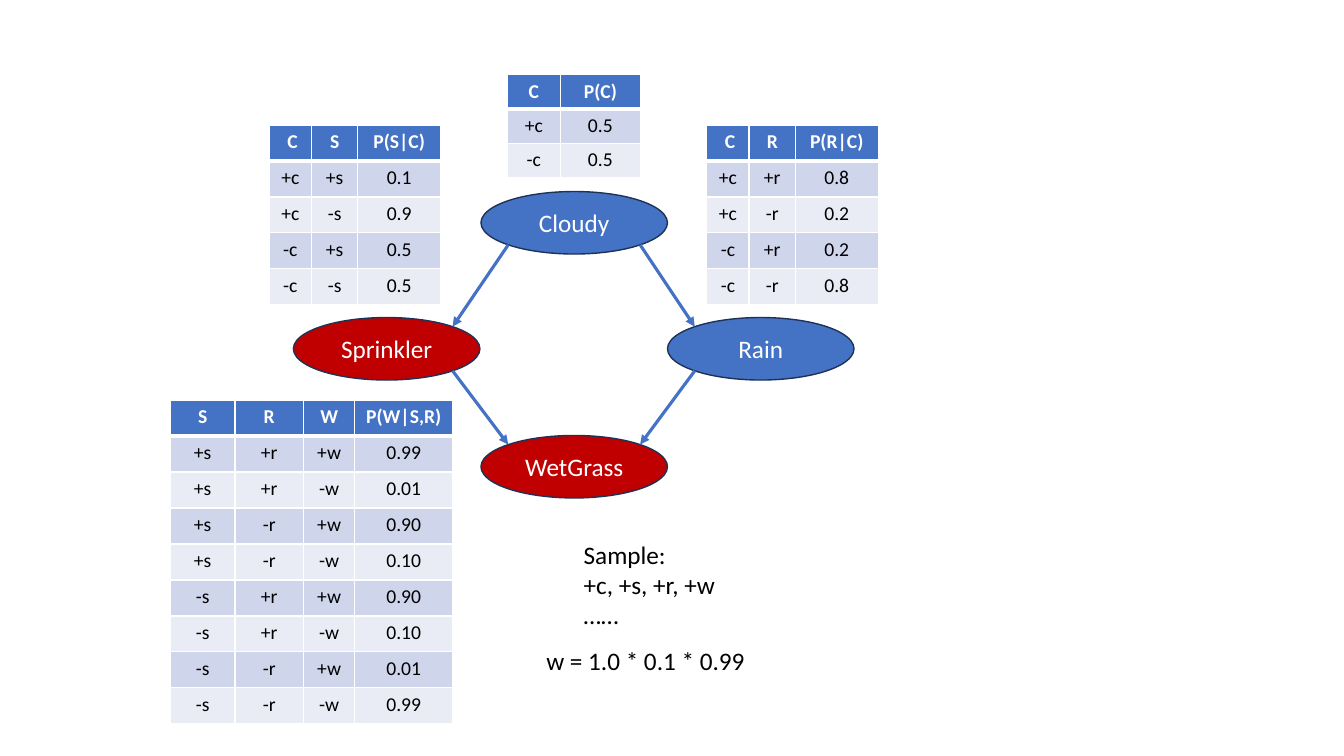
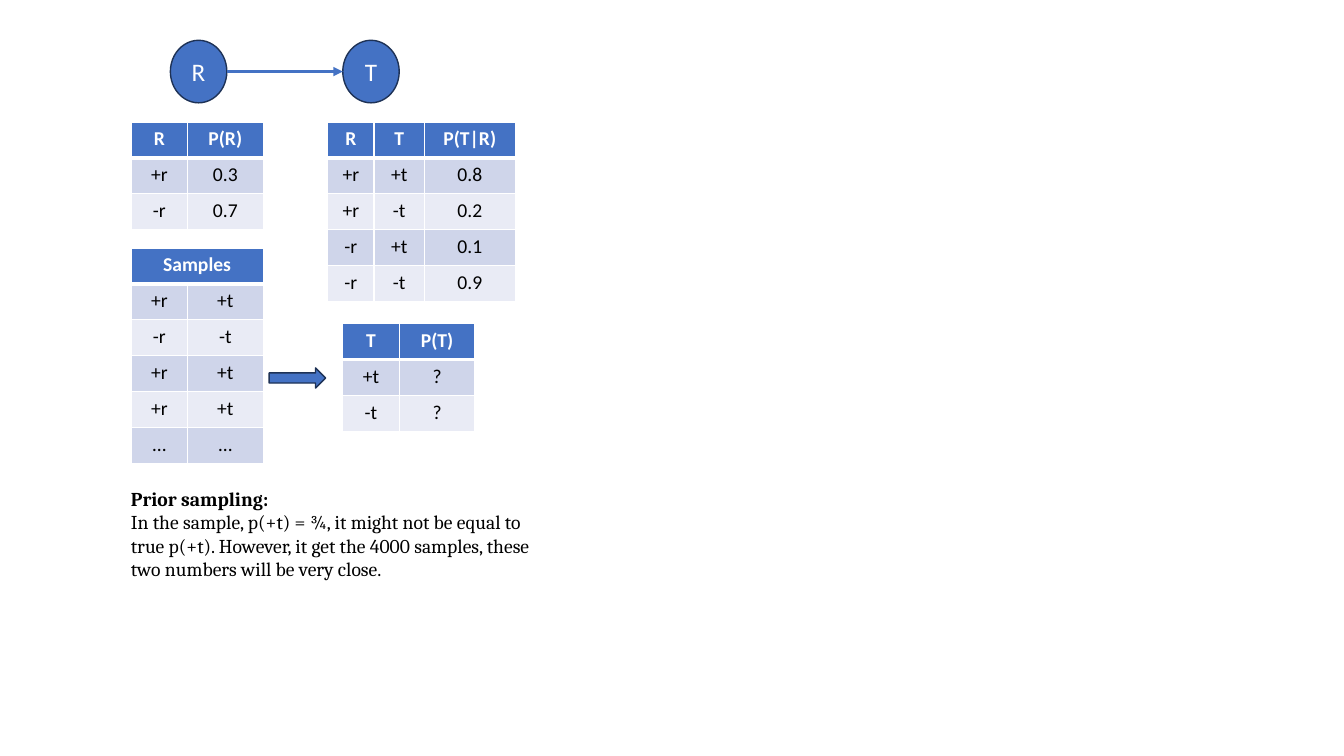
from itertools import product
from math import sqrt

from lxml.etree import SubElement
from pptx import Presentation
from pptx.dml.color import RGBColor
from pptx.enum.shapes import MSO_CONNECTOR, MSO_SHAPE
from pptx.enum.text import MSO_ANCHOR, PP_ALIGN
from pptx.oxml.ns import qn
from pptx.util import Inches, Pt

# Shared colours and measures
BLUE, RED, EDGE = "4472C4", "C00000", "1E3256"
WHITE, BLACK = "FFFFFF", "000000"
BANDS = ("CFD5EA", "E9EBF5")
DIAG = sqrt(0.5)
PAIR = (0.56, 0.75)


def paint(color, value):
    color.rgb = RGBColor.from_string(value)


def fill(item, value):
    item.fill.solid()
    paint(item.fill.fore_color, value)


def write(frame, text, size=18, color=BLACK, font="Calibri", bold=False,
          align=PP_ALIGN.LEFT, title=False):
    """Put each line in a paragraph; title makes the first one bold."""
    for i, line in enumerate(text.split("\n")):
        para = frame.paragraphs[0] if i == 0 else frame.add_paragraph()
        para.alignment = align
        run = para.add_run()
        run.text = line
        run.font.size = Pt(size)
        run.font.name = font
        run.font.bold = bold or (title and i == 0)
        paint(run.font.color, color)


def shape(slide, kind, x, y, w, h, text="", back=BLUE):
    item = slide.shapes.add_shape(kind, *map(Inches, (x, y, w, h)))
    item.shadow.inherit = False
    fill(item, back)
    paint(item.line.color, EDGE)
    item.line.width = Pt(1)
    if text:
        item.text_frame.vertical_anchor = MSO_ANCHOR.MIDDLE
        write(item.text_frame, text, color=WHITE, align=PP_ALIGN.CENTER)
    return item


def node(slide, x, y, text, back=BLUE, w=1.85):
    return shape(slide, MSO_SHAPE.OVAL, x, y, w, 0.62, text, back)


def spot(oval, dx, dy):
    """Point on the rim of an oval, in the unit direction (dx, dy)."""
    return (int(oval.left + oval.width * (1 + dx) / 2),
            int(oval.top + oval.height * (1 + dy) / 2))


def arrow(slide, start, end, dx, dy):
    """Leave start towards (dx, dy) and meet end on the opposite side."""
    line = slide.shapes.add_connector(
        MSO_CONNECTOR.STRAIGHT, *spot(start, dx, dy), *spot(end, -dx, -dy))
    paint(line.line.color, BLUE)
    line.line.width = Pt(2.25)
    SubElement(line.line._get_or_add_ln(), qn("a:tailEnd"), type="triangle")
    SubElement(line._element.spPr, qn("a:effectLst"))


def border(cell, row):
    """White cell edges, thick between the header and the body."""
    props = cell._tc.get_or_add_tcPr()
    thick = {(0, "B"), (1, "T")}
    for side in "LRTB":
        width = Pt(3 if (row, side) in thick else 1)
        edge = SubElement(props, qn("a:ln" + side), w=str(width))
        solid = SubElement(edge, qn("a:solidFill"))
        SubElement(solid, qn("a:srgbClr"), val=WHITE)


def table(slide, x, y, cols, head, rows, high=0.357):
    """Banded table; a single header cell spans all the columns."""
    count = len(rows) + 1
    grid = slide.shapes.add_table(
        count, len(cols),
        *map(Inches, (x, y, sum(cols), high * count))).table
    for col, width in zip(grid.columns, cols):
        col.width = Inches(width)
    for r, texts in enumerate([head, *rows]):
        grid.rows[r].height = Inches(high)
        for c in range(len(cols)):
            cell = grid.cell(r, c)
            border(cell, r)
            fill(cell, BANDS[(r - 1) % 2] if r else BLUE)
            if c < len(texts):
                write(cell.text_frame, texts[c], size=14, bold=r == 0,
                      color=BLACK if r else WHITE, align=PP_ALIGN.CENTER)
    if len(head) < len(cols):
        grid.cell(0, 0).merge(grid.cell(0, len(cols) - 1))


def odds(slide, x, y, cols, head, values, **kw):
    """Probability table: every mix of signs, then its value."""
    signs = product(*[("+" + name.strip().lower(), "-" + name.strip().lower())
                      for name in head[:-1]])
    rows = [(*mix, value) for mix, value in zip(signs, values.split())]
    table(slide, x, y, cols, head, rows, **kw)


def note(slide, x, y, w, h, text, wrap=False, **kw):
    frame = slide.shapes.add_textbox(*map(Inches, (x, y, w, h))).text_frame
    frame.word_wrap = wrap
    write(frame, text, **kw)


def grass(slide):
    # Network
    spray = node(slide, 2.91, 3.15, "Sprinkler", RED)
    cloud = node(slide, 4.77, 1.9, "Cloudy")
    rain = node(slide, 6.62, 3.15, "Rain")
    wet = node(slide, 4.77, 4.32, "WetGrass", RED)
    for start, end, side in ((cloud, rain, 1), (rain, wet, -1),
                             (cloud, spray, -1), (spray, wet, 1)):
        arrow(slide, start, end, side * DIAG, DIAG)

    # Probabilities
    trio = (0.42, 0.46, 0.82)
    odds(slide, 5.03, 0.74, (0.53, 0.79), ("C", "P(C)"), "0.5 0.5", high=0.34)
    odds(slide, 2.67, 1.24, trio, (" C", "S", "P(S|C)"), "0.1 0.9 0.5 0.5")
    odds(slide, 7.01, 1.24, trio, (" C", "R", "P(R|C)"), "0.8 0.2 0.2 0.8")
    odds(slide, 1.69, 3.97, (0.64, 0.68, 0.51, 0.97),
         ("S", "R", "W", "P(W|S,R)"),
         "0.99 0.01 0.90 0.10 0.90 0.10 0.01 0.99")

    # Sample and its weight
    note(slide, 5.69, 5.3, 1.52, 1.01, "Sample:\n+c, +s, +r, +w\n……")
    note(slide, 5.32, 6.35, 2.25, 0.4, "w = 1.0 * 0.1 * 0.99")


def prior(slide):
    # Network
    rain = node(slide, 1.69, 0.4, "R", w=0.56)
    jam = node(slide, 3.4, 0.4, "T", w=0.56)
    arrow(slide, rain, jam, 1, 0)

    # Probabilities and samples
    odds(slide, 1.3, 1.21, PAIR, ("R", "P(R)"), "0.3 0.7")
    odds(slide, 3.25, 1.21, (0.46, 0.5, 0.9), ("R", "T", "P(T|R)"),
         "0.8 0.2 0.1 0.9")
    table(slide, 1.3, 2.46, PAIR, ("Samples",),
          [("+r", "+t"), ("-r", "-t"), ("+r", "+t"), ("+r", "+t"),
           ("…", "…")])
    odds(slide, 3.4, 3.21, PAIR, ("T", "P(T)"), "? ?")

    # Remark
    note(slide, 1.2, 4.78, 4.34, 1.04,
         "Prior sampling:\nIn the sample, p(+t) = ¾, it might not be equal to "
         "true p(+t). However, it get the 4000 samples, these two numbers "
         "will be very close.",
         wrap=True, size=14, font="Cambria", title=True)
    shape(slide, MSO_SHAPE.RIGHT_ARROW, 2.67, 3.65, 0.56, 0.2)


def main():
    deck = Presentation()
    deck.slide_width, deck.slide_height = Inches(13.33), Inches(7.5)
    for build in (grass, prior):
        build(deck.slides.add_slide(deck.slide_layouts[6]))
    deck.save("out.pptx")


if __name__ == "__main__":
    main()
